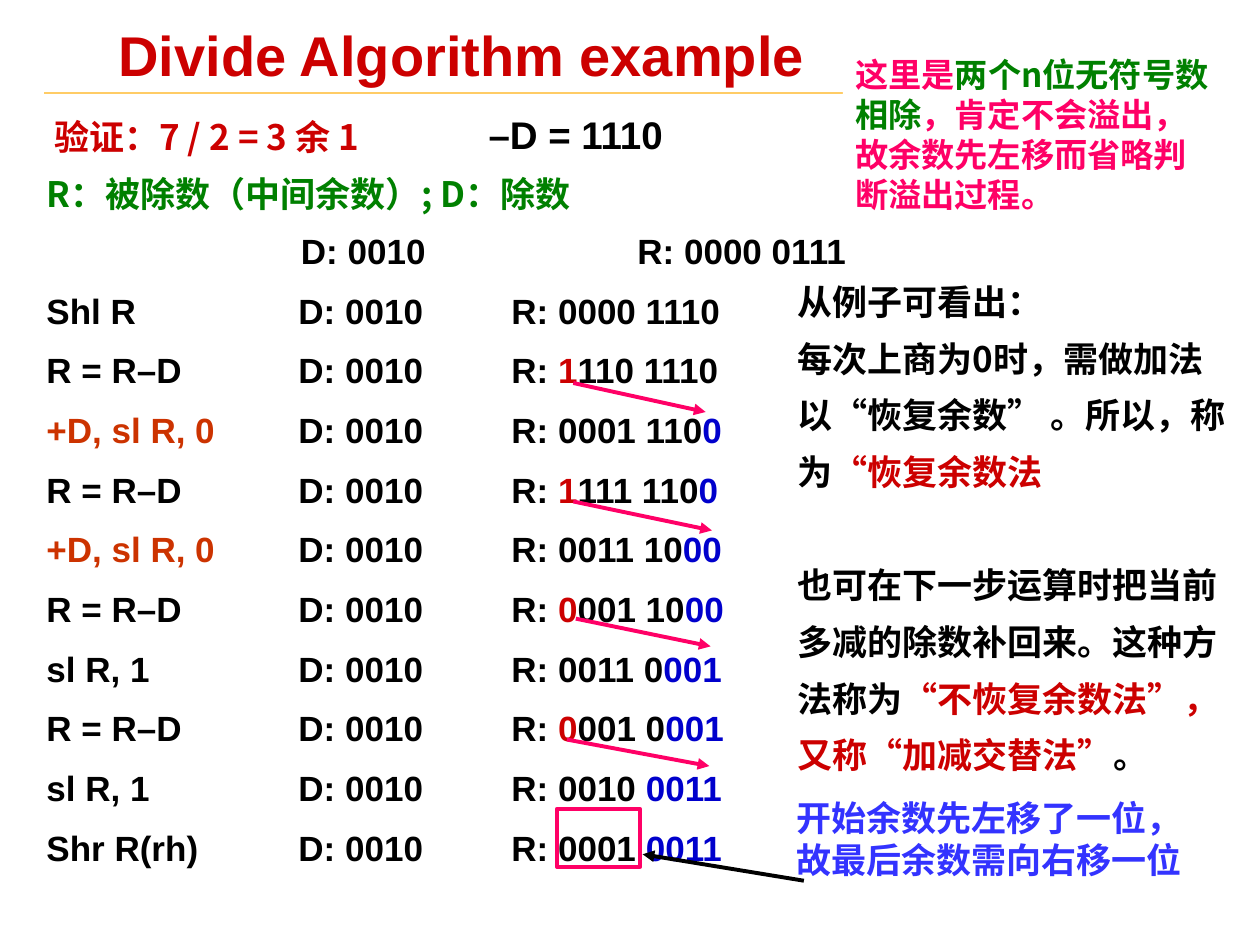
"""Build the slide on the restoring division example, 7 / 2."""
from lxml import etree
from pptx import Presentation
from pptx.dml.color import RGBColor
from pptx.enum.shapes import MSO_CONNECTOR, MSO_SHAPE
from pptx.enum.text import MSO_ANCHOR, PP_ALIGN
from pptx.oxml.ns import qn
from pptx.util import Inches, Pt

LEFT, TOP = PP_ALIGN.LEFT, MSO_ANCHOR.TOP
STRAIGHT, RECT = MSO_CONNECTOR.STRAIGHT, MSO_SHAPE.RECTANGLE

THEME = {
    "latin": "Arial", "han": "Noto Sans CJK SC",
    "title": 32, "large": 22, "body": 20, "small": 19,
    "black": "000000", "white": "FFFFFF", "red": "CC0000", "orange": "CC3300",
    "blue": "0000CC", "bright": "3333FF", "green": "008000",
    "pink": "FF0066", "gold": "FFCC66",
}


def write(frame, paras, font, size, inset=(0.1, 0.05), tabs=(), **form):
    """Fill a frame with paragraphs of (text, colour) runs."""
    side, edge = map(Inches, inset)
    setup = {"word_wrap": True, "vertical_anchor": TOP, "margin_left": side,
             "margin_right": side, "margin_top": edge, "margin_bottom": edge}
    for key, value in setup.items():
        setattr(frame, key, value)
    for i, runs in enumerate(paras):
        para = frame.paragraphs[0] if i == 0 else frame.add_paragraph()
        for key, value in {"alignment": LEFT, **form}.items():
            setattr(para, key, value)
        props = para._p.get_or_add_pPr()
        props.set("hangingPunct", "0")
        if tabs:
            stops = etree.SubElement(props, qn("a:tabLst"))
            for pos in tabs[min(i, len(tabs) - 1)]:
                etree.SubElement(stops, qn("a:tab"), pos=str(Inches(pos)), algn="l")
        for text, colour in runs:
            run = para.add_run()
            run.text = text
            look = {"name": THEME[font], "size": Pt(THEME[size]), "bold": True}
            for key, value in look.items():
                setattr(run.font, key, value)
            run.font.color.rgb = RGBColor.from_string(THEME[colour])
            etree.SubElement(run._r.rPr, qn("a:ea"), typeface=THEME[font])


def draw(start, end, colour, width, tip=None):
    """Draw a straight line, with an arrowhead if a tip is named."""
    line = slide.shapes.add_connector(STRAIGHT, *map(Inches, (*start, *end)))
    line.line.color.rgb = RGBColor.from_string(THEME[colour])
    line.line.width = Pt(width)
    if tip:
        etree.SubElement(line.line._get_or_add_ln(), qn(tip), type="triangle")
    etree.SubElement(line._element.spPr, qn("a:effectLst"))


deck = Presentation()
deck.slide_width, deck.slide_height = Inches(10), Inches(7.5)
slide = deck.slides.add_slide(deck.slide_layouts[5])

draw((0.35, 0.74), (9.6, 0.74), "gold", 1)

title = slide.shapes.title
place = {"left": 0.87, "top": 0.21, "width": 5.59, "height": 0.98}
for key, value in place.items():
    setattr(title, key, Inches(value))
write(title.text_frame, [[("Divide Algorithm example", "red")]], "latin", "title",
      inset=(0.07, 0.03), line_spacing=0.87)

STEPS = [
    ("", "", "0000 0111", ""),
    ("Shl R", "", "0000 1110", ""),
    ("R = R–D", "1", "110 1110", ""),
    ("+D, sl R, 0", "", "0001 110", "0"),
    ("R = R–D", "1", "111 110", "0"),
    ("+D, sl R, 0", "", "0011 10", "00"),
    ("R = R–D", "0", "001 10", "00"),
    ("sl R, 1", "", "0011 0", "001"),
    ("R = R–D", "0", "001 0", "001"),
    ("sl R, 1", "", "0010 ", "0011"),
    ("Shr R(rh)", "", "0001 ", "0011"),
]
rows = []
for step, sign, rest, quot in STEPS:
    runs = [(step, "orange" if step.startswith("+") else "black"),
            ("\tD: 0010\tR: ", "black"), (sign, "red"),
            (rest, "black"), (quot, "blue")]
    rows.append([run for run in runs if run[0]])
box = slide.shapes.add_textbox(*map(Inches, (0.27, 1.81, 7.09, 5.61)))
write(box.text_frame, rows, "latin", "body", tabs=[(2.02, 4.69), (2, 3.69)],
      line_spacing=0.9, space_before=Pt(12.5))

NOTES = [
    ((0.36, 0.89, 3.4, 0.39), "han", "body", 24, (0.07, 0.03),
     [[("验证：7 / 2 = 3 余 1", "red")]]),
    ((3.78, 0.83, 1.67, 0.47), "latin", "large", 26.4, (0.1, 0.05),
     [[("–D = 1110", "black")]]),
    ((0.27, 1.32, 4.72, 0.44), "han", "body", 24, (0.1, 0.05),
     [[("R：被除数（中间余数）; D：除数", "green")]]),
    ((6.23, 2.06, 3.65, 4.66), "han", "body", 32.4, (0.1, 0.05),
     [[("从例子可看出：", "black")],
      [("每次上商为0时，需做加法以“恢复余数” 。所以，称为", "black"),
       ("“恢复余数法", "red")],
      [("也可在下一步运算时把当前多减的除数补回来。这种方法称为", "black"),
       ("“不恢复余数法”，又称“加减交替法”", "red"), ("。", "black")]]),
    ((6.22, 6.27, 3.53, 0.77), "han", "body", 24, (0.1, 0.05),
     [[("开始余数先左移了一位，故最后余数需向右移一位", "bright")]]),
    ((6.69, 0.38, 3.07, 1.37), "han", "small", 22.9, (0.1, 0.05),
     [[("这里是", "pink"), ("两个n位无符号数相除", "green"),
       ("，肯定不会溢出，故余数先左移而省略判断溢出过程。", "pink")]]),
]
for area, font, size, lead, inset, paras in NOTES:
    box = slide.shapes.add_textbox(*map(Inches, area))
    write(box.text_frame, paras, font, size, inset, line_spacing=Pt(lead))
    if len(paras) > 1:
        box.text_frame.paragraphs[-1].space_before = Pt(lead)
box.fill.solid()
box.fill.fore_color.rgb = RGBColor.from_string(THEME["white"])

ARROWS = [
    ((4.55, 3.04), (5.6, 3.27)),
    ((4.55, 3.98), (5.65, 4.21)),
    ((4.57, 4.91), (5.64, 5.13)),
    ((4.5, 5.87), (5.63, 6.08)),
]
for start, end in ARROWS:
    draw(start, end, "pink", 2.25, "a:tailEnd")

frame = slide.shapes.add_shape(RECT, *map(Inches, (4.42, 6.42, 0.66, 0.46)))
frame.shadow.inherit = False
frame.fill.background()
frame.line.color.rgb = RGBColor.from_string(THEME["pink"])
frame.line.width = Pt(2.25)
draw((5.1, 6.78), (6.38, 6.99), "black", 2.25, "a:headEnd")

deck.save("out.pptx")
